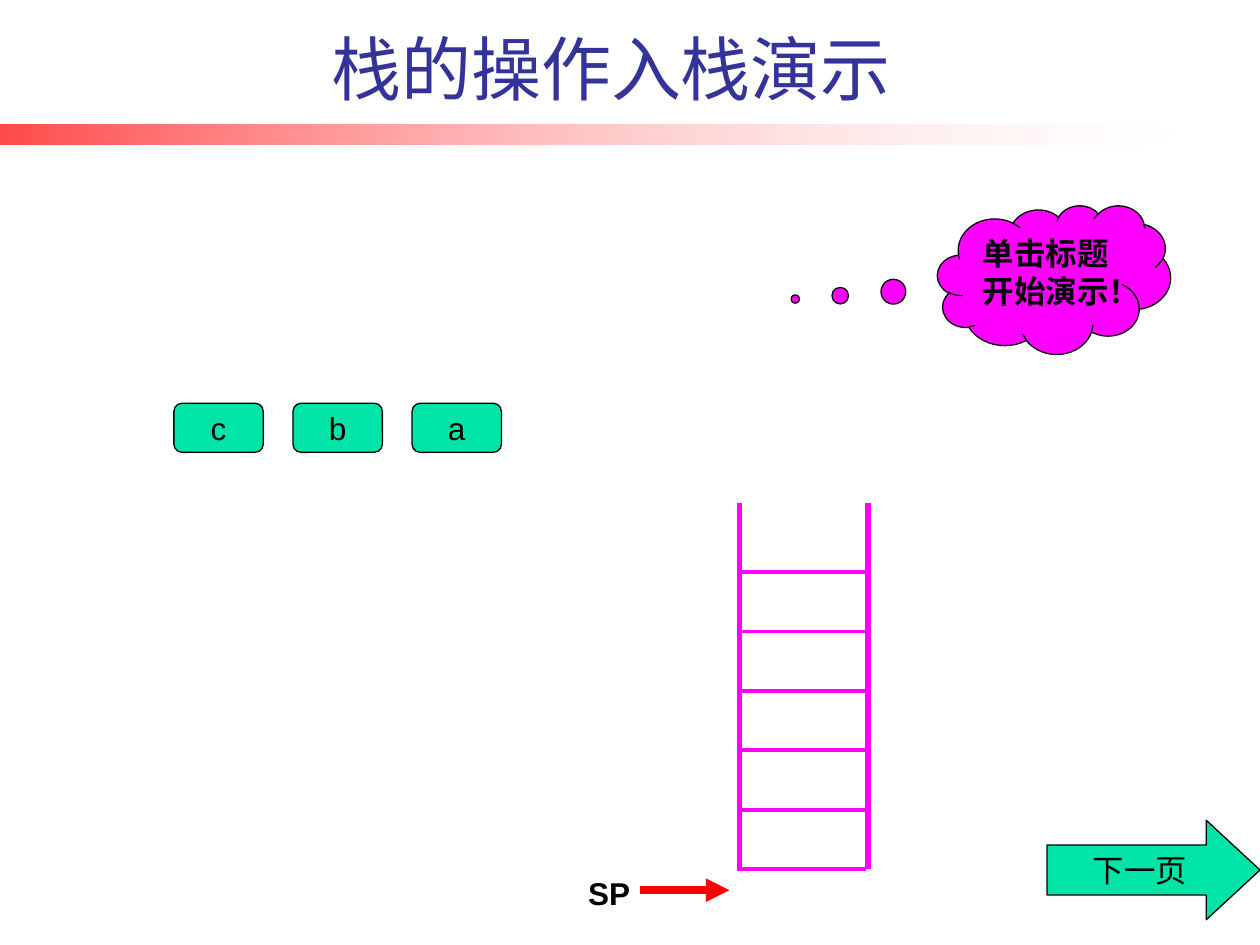
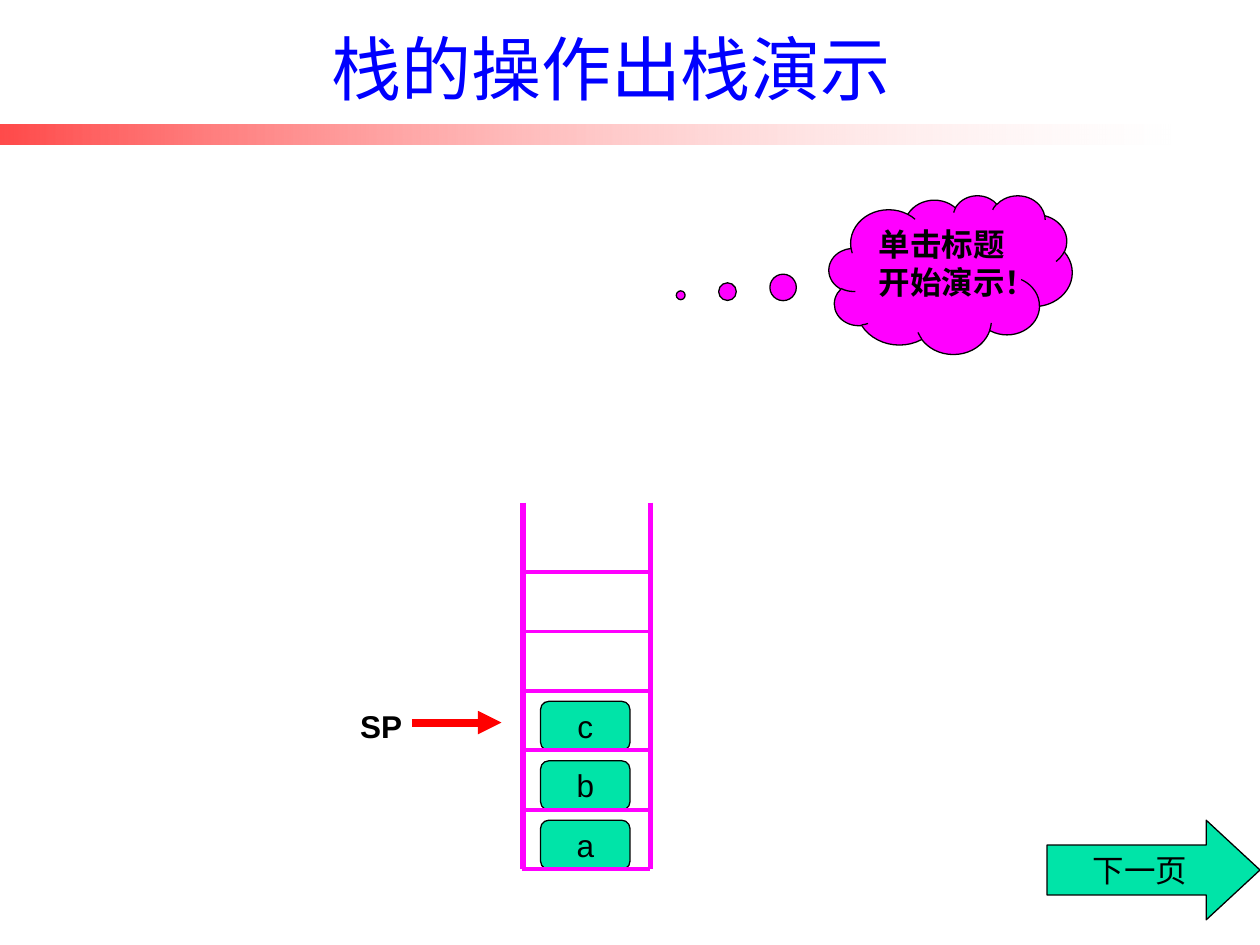
from lxml import etree
from pptx import Presentation
from pptx.dml.color import RGBColor
from pptx.enum.shapes import MSO_CONNECTOR, MSO_SHAPE
from pptx.enum.text import MSO_ANCHOR, MSO_AUTO_SIZE, PP_ALIGN
from pptx.oxml.ns import qn
from pptx.util import Inches, Pt

STRAIGHT = MSO_CONNECTOR.STRAIGHT
RECTANGLE = MSO_SHAPE.RECTANGLE
BLOCK = MSO_SHAPE.FLOWCHART_ALTERNATE_PROCESS
CLOUD = MSO_SHAPE.CLOUD_CALLOUT
RIGHT_ARROW = MSO_SHAPE.RIGHT_ARROW
TOP, MIDDLE, BOTTOM = MSO_ANCHOR.TOP, MSO_ANCHOR.MIDDLE, MSO_ANCHOR.BOTTOM
LEFT, CENTER = PP_ALIGN.LEFT, PP_ALIGN.CENTER
NO_AUTOFIT = MSO_AUTO_SIZE.NONE

TITLE_ONLY_LAYOUT = 5
BLACK, WHITE, RED = "000000", "FFFFFF", "FF0000"
MAGENTA, GREEN = "FF00FF", "00E4A8"
BAND_STOPS = [(WHITE, 18), (RED, 71)]

STACK_TOP, STACK_BOTTOM = 3.99, 6.9
TOP_RUNG, CELL_COUNT = 4.54, 5
CELL_HEIGHT = (STACK_BOTTOM - TOP_RUNG) / CELL_COUNT
BLOCK_WIDTH, BLOCK_HEIGHT = 0.71, 0.39
QUEUE_STEP = 0.945

SLIDES = [
    {
        "title": "栈的操作入栈演示",
        "title_color": "333399",
        "blocks": [(letter, 3.27 - i * QUEUE_STEP, 3.2) for i, letter in enumerate("abc")],
        "rails": (5.87, 6.89),
        "floor": (5.85, 6.87),
        "pointer": (4.57, 6.89),
        "cloud": (7.44, 1.63, 1.85, 1.18),
    },
    {
        "title": "栈的操作出栈演示",
        "title_color": "0000FF",
        "blocks": [
            (letter, 4.29, STACK_BOTTOM - BLOCK_HEIGHT - i * CELL_HEIGHT)
            for i, letter in enumerate("abc")
        ],
        "rails": (4.15, 5.16),
        "floor": (4.14, 5.16),
        "pointer": (2.76, 5.56),
        "cloud": (6.58, 1.55, 1.93, 1.26),
    },
]


def rgb(color):
    return RGBColor.from_string(color)


def apply_format(target, values):
    for name, value in values.items():
        setattr(target, name, value)


class StackDeck:
    def __init__(self):
        self.presentation = Presentation()
        apply_format(self.presentation,
                     {"slide_width": Inches(10), "slide_height": Inches(7.5)})
        self.slide = None

    def new_slide(self, title, color):
        layout = self.presentation.slide_layouts[TITLE_ONLY_LAYOUT]
        self.slide = self.presentation.slides.add_slide(layout)
        self.band(0, 0.99, 9.29, 0.16)
        shape = self.slide.shapes.title
        apply_format(shape, {
            "left": Inches(0.59), "top": Inches(0.21),
            "width": Inches(8.52), "height": Inches(0.71),
        })
        self.set_text(shape, title, anchor=BOTTOM, size=40, name="Lato", color=color)

    def set_text(self, shape, text, align=CENTER, anchor=MIDDLE, wrap=True,
                 size=18, name="Arial", color=BLACK, bold=False):
        frame = shape.text_frame
        apply_format(frame, {"auto_size": NO_AUTOFIT, "word_wrap": wrap,
                             "vertical_anchor": anchor})
        paragraph = frame.paragraphs[0]
        paragraph.alignment = align
        run = paragraph.add_run()
        run.text = text
        apply_format(run.font, {"size": Pt(size), "name": name, "bold": bold})
        run.font.color.rgb = rgb(color)

    def add_shape(self, kind, left, top, width, height):
        shape = self.slide.shapes.add_shape(
            kind, Inches(left), Inches(top), Inches(width), Inches(height))
        shape.shadow.inherit = False
        return shape

    def band(self, left, top, width, height):
        shape = self.add_shape(RECTANGLE, left, top, width, height)
        shape.line.fill.background()
        shape.fill.gradient()
        shape.fill.gradient_angle = 180
        for stop, (color, _) in zip(shape.fill.gradient_stops, BAND_STOPS):
            stop.color.rgb = rgb(color)
        colors = shape._element.spPr.iter(qn("a:srgbClr"))
        for element, (_, opacity) in zip(list(colors), BAND_STOPS):
            etree.SubElement(element, qn("a:alpha"), val=str(opacity * 1000))

    def filled_shape(self, kind, box, text, fill, adjustments=(), **text_format):
        shape = self.add_shape(kind, *box)
        for i, value in enumerate(adjustments):
            shape.adjustments[i] = value
        shape.fill.solid()
        shape.fill.fore_color.rgb = rgb(fill)
        shape.line.color.rgb = rgb(BLACK)
        shape.line.width = Pt(0.75)
        self.set_text(shape, text, **text_format)

    def line(self, start, end, width, color=MAGENTA, arrow=False):
        connector = self.slide.shapes.add_connector(
            STRAIGHT, *(Inches(value) for value in (*start, *end)))
        connector.line.color.rgb = rgb(color)
        connector.line.width = Pt(width)
        properties = connector._element.spPr
        if arrow:
            etree.SubElement(properties.find(qn("a:ln")), qn("a:tailEnd"), type="triangle")
        etree.SubElement(properties, qn("a:effectLst"))

    def stack(self, rails, floor):
        left, right = rails
        for x in (right, left):
            self.line((x, STACK_TOP), (x, STACK_BOTTOM), 3)
        self.line((floor[0], STACK_BOTTOM), (floor[1], STACK_BOTTOM), 2.25)
        for i in range(1, CELL_COUNT + 1):
            y = STACK_BOTTOM - i * CELL_HEIGHT
            self.line((left, y), (right, y), 2.25)

    def pointer(self, left, top):
        y = top + 0.175
        self.line((left + 0.51, y), (left + 1.22, y), 4.5, RED, arrow=True)
        label = self.slide.shapes.add_textbox(
            Inches(left), Inches(top), Inches(0.63), Inches(0.4))
        self.set_text(label, "SP", align=LEFT, anchor=TOP, bold=True)


def main():
    deck = StackDeck()
    for content in SLIDES:
        deck.new_slide(content["title"], content["title_color"])
        for letter, left, top in content["blocks"]:
            deck.filled_shape(BLOCK, (left, top, BLOCK_WIDTH, BLOCK_HEIGHT),
                              letter, GREEN, wrap=False)
        deck.stack(content["rails"], content["floor"])
        deck.pointer(*content["pointer"])
        deck.filled_shape(CLOUD, content["cloud"], "单击标题开始演示！", MAGENTA,
                          (-1.11, 0.13), anchor=TOP, bold=True)
        deck.filled_shape(RIGHT_ARROW, (8.31, 6.51, 1.69, 0.79), "下一页", GREEN,
                          (0.5, 0.54), wrap=False)
    deck.presentation.save("out.pptx")


if __name__ == "__main__":
    main()
